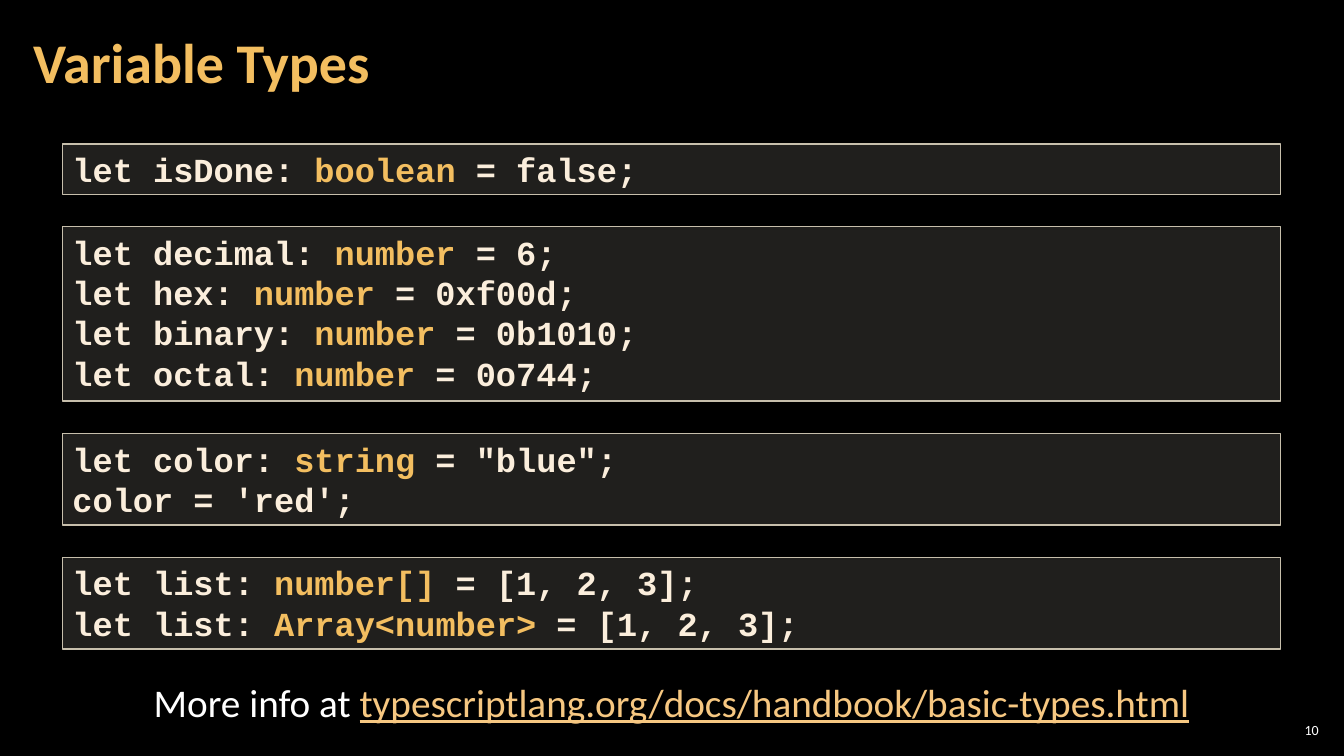
from lxml import etree
from pptx import Presentation
from pptx.dml.color import RGBColor
from pptx.enum import shapes, text
from pptx.oxml import ns
from pptx.util import Inches, Pt

BLACK, WHITE = "000000", "FFFFFF"
GOLD, LINK_GOLD, CREAM = "F3BE60", "F6C781", "FBEEDC"
PANEL, PANEL_EDGE = "D9D5C7", "C7BFAC"

# Each line of code: before the type, the type, after the type
SNIPPETS = [
    [("let isDone: ", "boolean", " = false;")],
    [
        ("let decimal: ", "number", " = 6;"),
        ("let hex: ", "number", " = 0xf00d;"),
        ("let binary: ", "number", " = 0b1010;"),
        ("let octal: ", "number", " = 0o744;"),
    ],
    [
        ("let color: ", "string", ' = "blue";'),
        ("color = 'red';", "", ""),
    ],
    [
        ("let list: ", "number[]", " = [1, 2, 3];"),
        ("let list: ", "Array<number>", " = [1, 2, 3];"),
    ],
]
LINE_HEIGHT, PANEL_PADDING, PANEL_GAP = 0.41, 0.09, 0.32


def color(hex_string):
    return RGBColor.from_string(hex_string)


def add_span(para, words, size, hex_color, font="Calibri", bold=False, underline=False):
    span = para.add_run()
    span.text = words
    span.font.name = font
    span.font.size = Pt(size)
    span.font.bold = bold
    span.font.underline = underline
    span.font.color.rgb = color(hex_color)


def add_text_box(page, box, align, anchor, side_margin=0.1, end_margin=0.05):
    """Add an empty text box and return its first paragraph."""
    frame = page.shapes.add_textbox(*map(Inches, box)).text_frame
    frame.word_wrap = True
    frame.vertical_anchor = anchor
    frame.margin_left = frame.margin_right = Inches(side_margin)
    frame.margin_top = frame.margin_bottom = Inches(end_margin)
    para = frame.paragraphs[0]
    para.alignment = align
    return para


def add_title(page, box):
    para = add_text_box(page, box, text.PP_ALIGN.LEFT, text.MSO_ANCHOR.MIDDLE, 0.12, 0.04)
    para.line_spacing = 0.9
    add_span(para, "Variable Types", 40, GOLD, bold=True)


def add_page_number(page, box):
    para = add_text_box(page, box, text.PP_ALIGN.RIGHT, text.MSO_ANCHOR.MIDDLE, 0.04, 0.04)
    add_span(para, "10", 10, WHITE)


def add_more_info(page, box):
    para = add_text_box(page, box, text.PP_ALIGN.CENTER, text.MSO_ANCHOR.TOP)
    add_span(para, "More info at ", 28, WHITE)
    add_span(para, "typescriptlang.org/docs/handbook/basic-types.html", 28, LINK_GOLD,
             underline=True)


def add_code_panel(page, box, lines):
    panel = page.shapes.add_shape(shapes.MSO_SHAPE.RECTANGLE, *map(Inches, box))
    panel.shadow.inherit = False
    panel.fill.solid()
    panel.fill.fore_color.rgb = color(PANEL)
    fill_color = panel._element.spPr.find(ns.qn("a:solidFill"))[0]
    etree.SubElement(fill_color, ns.qn("a:alpha"), val="15000")
    panel.line.color.rgb = color(PANEL_EDGE)
    panel.line.width = Pt(1)

    frame = panel.text_frame
    frame.word_wrap = True
    frame.vertical_anchor = text.MSO_ANCHOR.TOP
    for index, parts in enumerate(lines):
        para = frame.add_paragraph() if index else frame.paragraphs[0]
        para.alignment = text.PP_ALIGN.LEFT
        for words, hex_color in zip(parts, (CREAM, GOLD, CREAM)):
            if words:
                add_span(para, words, 24, hex_color, "Courier New", bold=True)


def add_code_panels(page, left, top, width):
    """Stack the snippets downwards, each panel as tall as its lines."""
    for lines in SNIPPETS:
        height = PANEL_PADDING + LINE_HEIGHT * len(lines)
        add_code_panel(page, (left, top, width, height), lines)
        top += height + PANEL_GAP


def main():
    deck = Presentation()
    deck.slide_width, deck.slide_height = Inches(13.33), Inches(7.5)
    page = deck.slides.add_slide(deck.slide_layouts[6])
    page.background.fill.solid()
    page.background.fill.fore_color.rgb = color(BLACK)

    add_page_number(page, (12.65, 7.14, 0.47, 0.21))
    add_title(page, (0.21, 0.04, 10.47, 1.21))
    add_code_panels(page, 0.62, 1.43, 12.08)
    add_more_info(page, (0.41, 6.68, 12.5, 0.57))
    deck.save("out.pptx")


if __name__ == "__main__":
    main()
